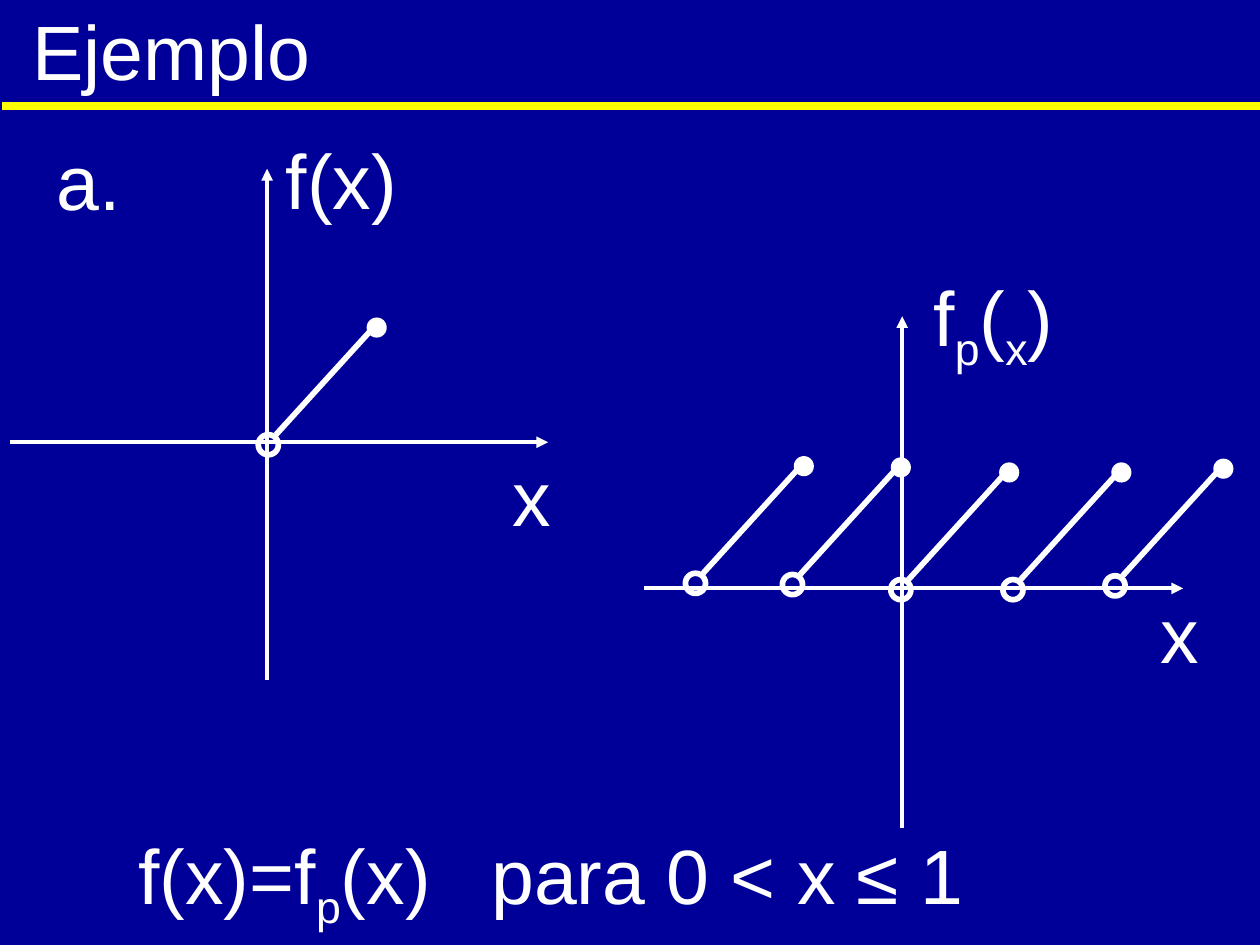
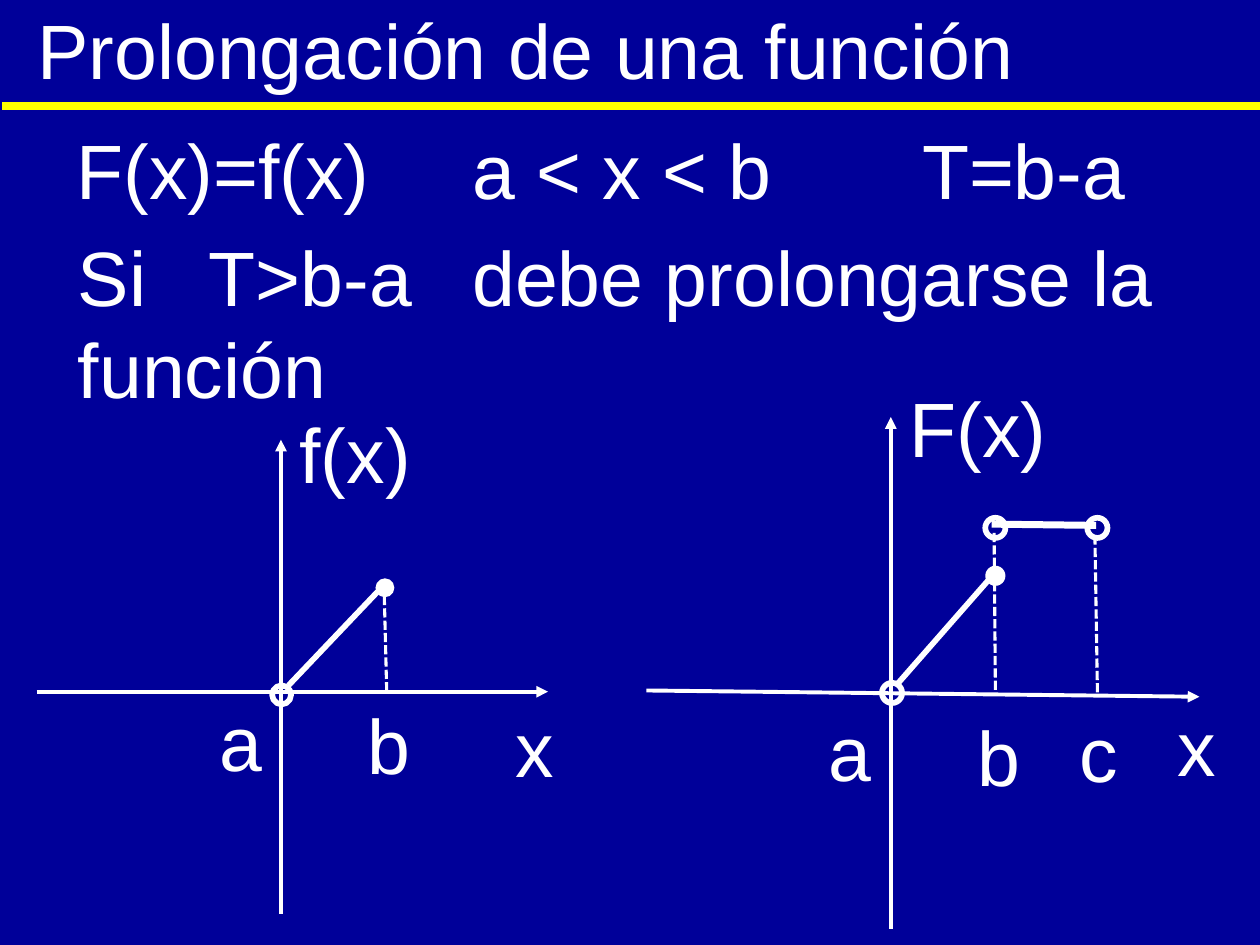
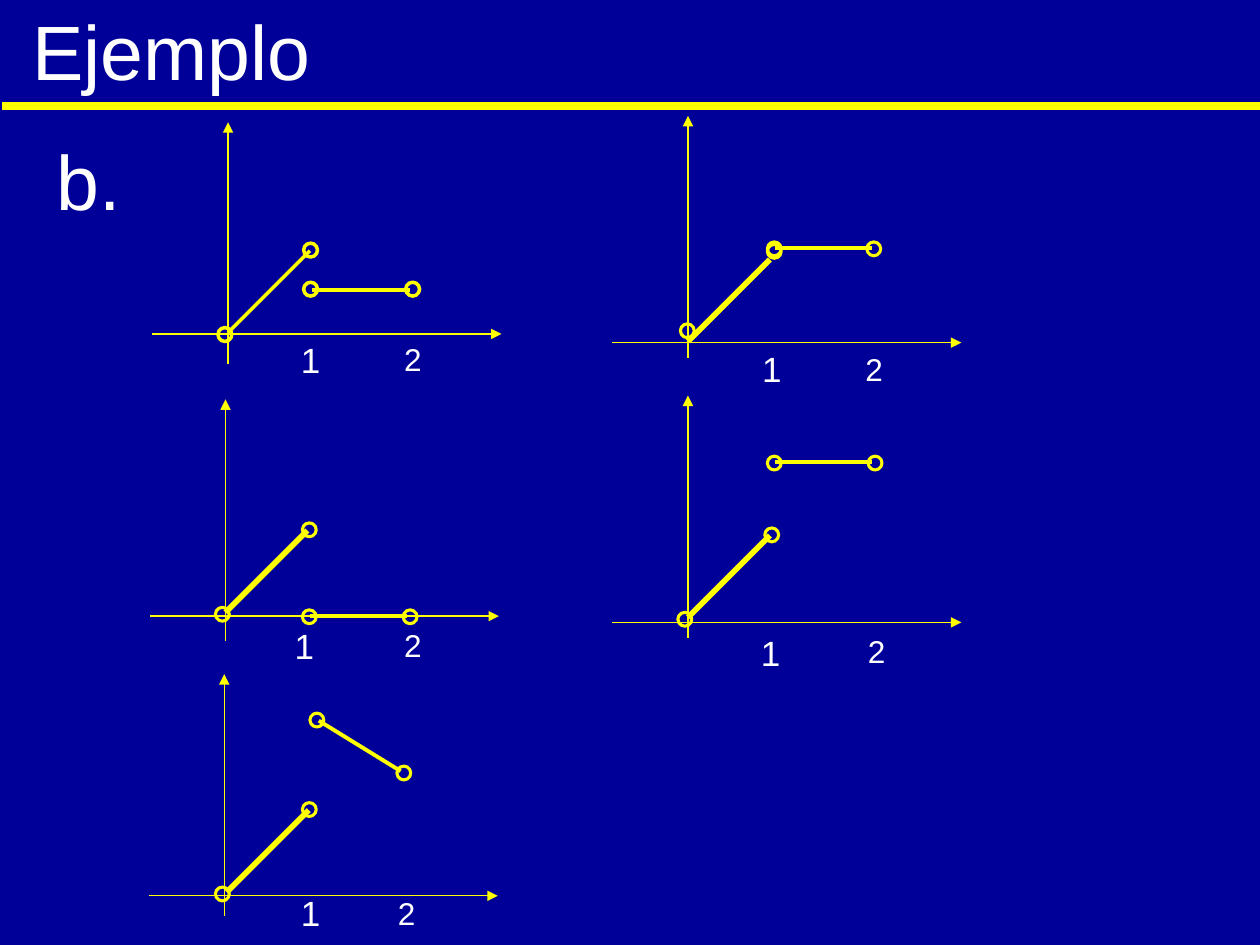
"""Build three slides on extending a function periodically."""
from dataclasses import dataclass

from lxml.etree import SubElement
from pptx import Presentation
from pptx.dml.color import RGBColor as RGB
from pptx.enum.dml import MSO_LINE as Dash
from pptx.enum.shapes import MSO_CONNECTOR as Link, MSO_SHAPE as Shape
from pptx.oxml.ns import qn
from pptx.util import Inches, Pt


@dataclass(frozen=True)
class Theme:
    back: RGB = RGB(0x00, 0x00, 0x99)
    white: RGB = RGB(0xFF, 0xFF, 0xFF)
    gold: RGB = RGB(0xFF, 0xFF, 0x00)
    font: str = "Arial"
    big: int = 44
    one: int = 20
    two: int = 18
    band: float = 4.5
    axis: float = 2.25
    thin: float = 0.75
    bold: float = 3.25
    dash: float = 1.75


theme = Theme()


def draw(slide, color, start, end, width, style=""):
    line = slide.shapes.add_connector(Link.STRAIGHT, *map(Inches, start + end))
    line.line.color.rgb = color
    line.line.width = Pt(width)
    if style == "dash":
        line.line.dash_style = Dash.SQUARE_DOT
    if style == "arrow":
        SubElement(line.line._get_or_add_ln(), qn("a:tailEnd"), type="triangle")
    SubElement(line._element.spPr, qn("a:effectLst"))


def write(slide, text, place, size=theme.big, tabs=()):
    box = slide.shapes.add_textbox(*map(Inches, place))
    box.text_frame.word_wrap = True
    par = box.text_frame.paragraphs[0]
    parts = text.split("_")
    par.text = parts[0]
    for part in parts[1:]:
        par.add_run().text = part
    for i, run in enumerate(par.runs):
        run.font.name = theme.font
        run.font.size = Pt(size)
        run.font.color.rgb = theme.white
        if i % 2:
            run._r.get_or_add_rPr().set("baseline", "-25000")
    props = par._p.get_or_add_pPr()
    SubElement(SubElement(props, qn("a:spcBef")), qn("a:spcPct"), val="50000")
    if tabs:
        stops = SubElement(props, qn("a:tabLst"))
        for tab in tabs:
            SubElement(stops, qn("a:tab"), pos=str(Inches(tab)), algn="l")


lines_a = [
    ((0.08, 3.51), (4.35, 3.51), theme.axis, "arrow"),
    ((2.12, 5.4), (2.12, 1.34), theme.axis, "arrow"),
    ((5.11, 4.67), (9.39, 4.67), theme.axis, "arrow"),
    ((7.16, 6.57), (7.16, 2.51), theme.axis, "arrow"),
]
dots_a = []
for x, y in [(2.05, 3.45), (5.44, 4.55), (6.21, 4.56), (7.07, 4.6), (7.96, 4.6), (8.77, 4.57)]:
    lines_a.append(((x + 0.14, y), (x + 0.95, y - 0.89), theme.bold))
    dots_a += [(x, y, 0.16, theme.bold), (x + 0.86, y - 0.93, 0.16, 0)]
words_a = [
    ("f(x)", (2.17, 1, 2, 0.84)),
    ("x", (3.97, 3.52, 0.46, 0.84)),
    ("f_p_(_x_)", (7.31, 2.09, 2, 0.84)),
    ("x", (9.11, 4.61, 0.46, 0.84)),
    ("f(x)=f_p_(x)\tpara 0 < x ≤ 1", (1, 6.52, 7.12, 0.84), theme.big, (2.8,)),
    ("a.", (0.35, 1.01, 1.2, 0.84)),
]

lines_b = [
    ((0.29, 5.49), (4.35, 5.49), theme.axis, "arrow"),
    ((2.23, 7.25), (2.23, 3.49), theme.axis, "arrow"),
    ((2.29, 5.44), (3.07, 4.62), theme.bold),
    ((3.05, 4.73), (3.07, 5.51), theme.dash, "dash"),
    ((5.13, 5.48), (9.52, 5.53), theme.axis, "arrow"),
    ((7.07, 7.37), (7.07, 3.31), theme.axis, "arrow"),
    ((7.13, 5.42), (7.91, 4.53), theme.bold),
    ((7.89, 4.23), (7.9, 5.48), theme.dash, "dash"),
    ((7.87, 4.16), (8.7, 4.17), 4),
    ((8.69, 4.25), (8.71, 5.5), theme.dash, "dash"),
]
dots_b = [
    (2.16, 5.44, 0.15, theme.bold),
    (2.98, 4.59, 0.15, 0),
    (7, 5.42, 0.16, theme.bold),
    (7.82, 4.49, 0.16, 0),
    (7.82, 4.11, 0.16, theme.bold),
    (8.63, 4.11, 0.16, theme.bold),
]
words_b = [
    ("F(x)=f(x)\ta < x < b\tT=b-a", (0.51, 0.92, 9.31, 0.84), theme.big, (3.14, 6.71)),
    ("Si\tT>b-a\tdebe prolongarse la función", (0.52, 1.77, 8.79, 1.58), theme.big, (1.04, 3.13)),
    ("f(x)", (2.28, 3.18, 1.9, 0.78)),
    ("x", (3.99, 5.51, 0.44, 0.78)),
    ("a", (1.64, 5.46, 0.34, 0.84)),
    ("b", (2.82, 5.49, 0.49, 0.84)),
    ("F(x)", (7.12, 2.97, 1.9, 0.84)),
    ("x", (9.25, 5.5, 0.44, 0.84)),
    ("a", (6.48, 5.54, 0.34, 0.84)),
    ("b", (7.66, 5.58, 0.49, 0.84)),
    ("c", (8.47, 5.55, 0.49, 0.84)),
]

plots = [
    ((1.81, 0.97), 2.65, (1.81, 2.64), (2.48, 2.3), (3.25, 2.3), (2, 2, 2),
     [(2.41, 2.24), (3.22, 2.24), (2.41, 1.93), (1.73, 2.6)], (2.29, 2.64), (3.11, 2.65)),
    ((5.46, 0.92), 2.72, (5.46, 2.71), (6.15, 1.97), (6.92, 1.97), (3.25, 2.25, 1.75),
     [(6.09, 1.92), (6.88, 1.92), (6.09, 1.94), (5.4, 2.57)], (5.95, 2.71), (6.77, 2.73)),
    ((1.79, 3.17), 4.89, (1.79, 4.86), (2.46, 4.89), (3.23, 4.89), (3.25, 2.25, 1.75),
     [(2.4, 4.84), (3.2, 4.84), (2.4, 4.15), (1.71, 4.82)], (2.24, 4.91), (3.11, 4.92)),
    ((5.46, 3.14), 4.94, (5.46, 4.9), (6.15, 3.67), (6.92, 3.67), (3.25, 2.25, 1.75),
     [(6.09, 3.62), (6.89, 3.62), (6.07, 4.19), (5.38, 4.86)], (5.94, 4.96), (6.79, 4.97)),
    ((1.78, 5.35), 7.11, (1.8, 7.08), (2.53, 5.72), (3.18, 6.12), (3.25, 2.25, 1.75),
     [(2.46, 5.66), (3.15, 6.08), (2.4, 6.37), (1.71, 7.04)], (2.29, 7.03), (3.06, 7.05)),
]
lines_c, dots_c = [], []
words_c = [("b.", (0.35, 1.01, 1.2, 0.84))]
for (x, top), base, foot, left, right, (ramp, flat, ring), rings, one, two in plots:
    lines_c += [
        ((x, top + 1.92), (x, top), theme.thin, "arrow"),
        ((x - 0.6, base), (x + 2.17, base), theme.thin, "arrow"),
        (left, right, flat),
        (foot, (foot[0] + 0.65, foot[1] - 0.65), ramp),
    ]
    dots_c += [(*spot, 0.11, ring) for spot in rings]
    words_c += [("1", (*one, 0.38, 0.44), theme.one), ("2", (*two, 0.39, 0.4), theme.two)]

pages = [
    ("Ejemplo", (0.16, -0.02, 8.75, 0.83), theme.white, lines_a, dots_a, words_a),
    ("Prolongación de una función", (0.2, -0.03, 9.8, 0.84), theme.white, lines_b, dots_b, words_b),
    ("Ejemplo", (0.16, -0.02, 8.75, 0.83), theme.gold, lines_c, dots_c, words_c),
]

deck = Presentation()
deck.slide_width, deck.slide_height = Inches(10), Inches(7.5)
for title, place, ink, lines, dots, words in pages:
    slide = deck.slides.add_slide(deck.slide_layouts[6])
    slide.background.fill.solid()
    slide.background.fill.fore_color.rgb = theme.back
    write(slide, title, place)
    draw(slide, theme.gold, (0.02, 0.84), (10.02, 0.84), theme.band)
    for line in lines:
        draw(slide, ink, *line)
    for x, y, size, width in dots:
        dot = slide.shapes.add_shape(Shape.OVAL, *map(Inches, (x, y, size, size)))
        dot.shadow.inherit = False
        if width:
            dot.fill.background()
            dot.line.color.rgb = ink
            dot.line.width = Pt(width)
        else:
            dot.fill.solid()
            dot.fill.fore_color.rgb = ink
            dot.line.fill.background()
    for word in words:
        write(slide, *word)

deck.save("out.pptx")
